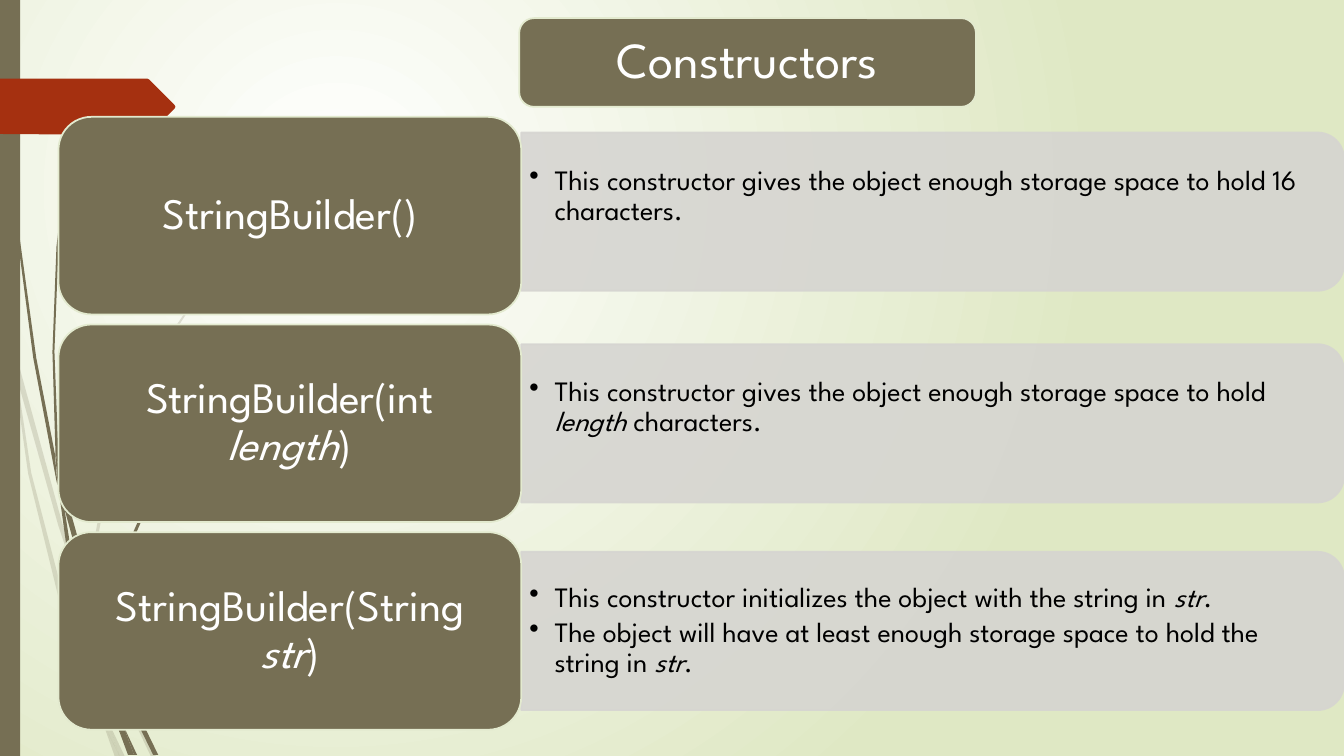
from lxml.etree import SubElement
from pptx import Presentation
from pptx.dml.color import RGBColor
from pptx.enum.shapes import MSO_SHAPE as SHAPE
from pptx.enum.text import MSO_ANCHOR, PP_ALIGN
from pptx.oxml.ns import qn
from pptx.util import Inches, Pt

OLIVE = RGBColor(0x76, 0x6F, 0x54)
RED = RGBColor(0xA5, 0x30, 0x10)
CREAM = RGBColor(0xE3, 0xEA, 0xCF)
GREEN = RGBColor(0xDF, 0xE8, 0xC4)
GREY = RGBColor(0xD6, 0xD5, 0xD1)
WHITE = RGBColor(0xFF, 0xFF, 0xFF)
BLACK = RGBColor(0x00, 0x00, 0x00)
FONT = "League Spartan"

TITLE = "Constructors"
# Label, bullets, spare room under the bullets, vertical shift of the bar.
# Words between asterisks are italic.
CONSTRUCTORS = [
    ("StringBuilder()",
     ["This constructor gives the object enough storage space to hold 16 characters."],
     0.31, -0.04),
    ("StringBuilder(int *length*)",
     ["This constructor gives the object enough storage space to hold *length* characters."],
     0.31, 0),
    ("StringBuilder(String *str*)",
     ["This constructor initializes the object with the string in *str*.",
      "The object will have at least enough storage space to hold the string in *str*."],
     0, 0),
]

PALE_BLADES = [
    [(0.11, 3.5), (0.09, 3.22), (0, 2.82), (0, 2.99), (0.1, 3.44)],
    [(0.58, 5.22), (0.84, 5.99), (0.85, 5.86), (0.62, 5.2), (0.14, 3.45), (0.17, 3.76)],
    [(0.92, 6.07), (0.88, 5.96), (0.88, 6.1), (1.23, 6.94), (1.5, 7.51), (1.55, 7.51),
     (1.27, 6.92)],
    [(1.19, 7.51), (1.24, 7.51), (1.05, 7.11)],
    [(0.93, 6.83), (0.7, 6.19), (0.31, 4.69), (0.17, 3.76), (0.11, 3.5), (0.28, 4.7),
     (0.65, 6.21), (0.92, 6.93), (1.01, 7.14), (0.99, 7.07)],
    [(0.88, 5.84), (1.1, 4.62), (1.6, 3.49), (2.29, 2.45), (2.68, 1.98), (2.9, 1.75),
     (3.12, 1.54), (3.12, 1.53), (2.89, 1.75), (2.68, 1.97), (2.28, 2.44), (1.58, 3.48),
     (1.07, 4.61), (0.85, 5.84), (0.85, 5.86), (0.88, 5.96)],
    [(1.01, 7.14), (1.14, 7.51), (1.19, 7.51)],
    [(0.96, 6.92), (0.93, 6.83), (0.99, 7.07), (1.01, 7.14), (1.19, 7.51), (1.05, 7.11)],
]
DARK_BLADES = [
    [(0.07, 1.1), (0.17, 2.33), (0.33, 3.55), (0.56, 4.77), (0.57, 4.81), (0.55, 4.57),
     (0.55, 4.53), (0.36, 3.55), (0.19, 2.32), (0.08, 1.09), (0.05, 0.48), (0.04, 0),
     (0.03, 0), (0.04, 0.48)],
    [(0.88, 5.92), (1.06, 6.45), (1.06, 6.31), (0.93, 5.9), (0.6, 4.72), (0.64, 5.05)],
    [(1.13, 6.49), (1.1, 6.41), (1.11, 6.56), (1.32, 7.08), (1.52, 7.49), (1.57, 7.49),
     (1.36, 7.06)],
    [(1.1, 6.91), (0.98, 6.57), (0.72, 5.56), (0.64, 5.05), (0.57, 4.77), (0.68, 5.57),
     (0.93, 6.59), (1.11, 7.08), (1.17, 7.22), (1.16, 7.17)],
    [(0.6, 4.72), (0.58, 4.53), (0.54, 3.49), (0.58, 2.45), (0.63, 1.93), (0.7, 1.41),
     (0.62, 1.93), (0.56, 2.45), (0.52, 3.49), (0.55, 4.49)],
    [(1.33, 7.49), (1.36, 7.49), (1.22, 7.19)],
    [(0.57, 4.77), (0.64, 5.05), (0.6, 4.72), (0.55, 4.49), (0.55, 4.53)],
    [(1.11, 6.33), (1.25, 5.52), (1.58, 4.76), (2.05, 4.06), (2.31, 3.74), (2.45, 3.59),
     (2.61, 3.44), (2.6, 3.44), (2.45, 3.58), (2.31, 3.73), (2.04, 4.05), (1.56, 4.74),
     (1.22, 5.51), (1.06, 6.31), (1.1, 6.41)],
    [(1.17, 7.22), (1.27, 7.49), (1.31, 7.49)],
    [(1.16, 7.06), (1.1, 6.91), (1.16, 7.17), (1.17, 7.22), (1.3, 7.49), (1.33, 7.49),
     (1.22, 7.19)],
]
RED_TAG = [(0, 0.78), (1.46, 0.78), (1.48, 0.79), (1.73, 1.04), (1.74, 1.06),
           (1.73, 1.08), (1.48, 1.33), (1.46, 1.34), (0, 1.33)]

LABEL_LEFT, LABEL_TOP, LABEL_W, LABEL_H, PITCH = 0.58, 1.16, 4.59, 1.96, 2.06
BAR_LEFT, BAR_W, BAR_H = 5.17, 8.16, 1.57
TEXT_W, TEXT_H = 8.09, 1.42


def paint(sp, fill, line=None, alpha=None):
    sp.shadow.inherit = False
    sp.fill.solid()
    sp.fill.fore_color.rgb = fill
    if line is None:
        sp.line.fill.background()
    else:
        sp.line.color.rgb = line
        sp.line.width = Pt(1.25)
    if alpha:
        for clr in sp._element.spPr.iter(qn("a:srgbClr")):
            SubElement(clr, qn("a:alpha"), val=str(alpha * 1000))


def add_shape(s, kind, x, y, w, h, *colours):
    sp = s.shapes.add_shape(kind, Inches(x), Inches(y), Inches(w), Inches(h))
    paint(sp, *colours)
    return sp


def add_outline(s, points, fill, alpha=None):
    (x, y), *rest = [(Inches(px), Inches(py)) for px, py in points]
    builder = s.shapes.build_freeform(x, y)
    builder.add_line_segments(rest, close=True)
    paint(builder.convert_to_shape(), fill, None, alpha)


def write(sp, lines, size, colour, insets, bullets=False):
    tf = sp.text_frame
    frame = dict(zip(("margin_left", "margin_top", "margin_right", "margin_bottom"),
                     map(Inches, insets)))
    frame.update(word_wrap=True, vertical_anchor=MSO_ANCHOR.MIDDLE)
    for name, value in frame.items():
        setattr(tf, name, value)
    for i, line in enumerate(lines):
        p = tf.add_paragraph() if i else tf.paragraphs[0]
        p.line_spacing = 0.9
        p.alignment = PP_ALIGN.LEFT if bullets else PP_ALIGN.CENTER
        if bullets:
            p.space_after = Pt(3)
            pPr = p._p.get_or_add_pPr()
            pPr.set("marL", str(Inches(0.25)))
            pPr.set("indent", str(-Inches(0.25)))
            SubElement(pPr, qn("a:buChar"), char="•")
        for j, part in enumerate(line.split("*")):
            if part:
                r = p.add_run()
                r.text = part
                r.font.color.rgb = colour
                for name, value in dict(name=FONT, size=Pt(size), italic=j % 2 == 1).items():
                    setattr(r.font, name, value)


def set_background(s):
    fill = s.background.fill
    fill.gradient()
    for stop, colour in zip(fill.gradient_stops, (WHITE, GREEN)):
        stop.color.rgb = colour
    grad = s._element.find(".//" + qn("a:gradFill"))
    grad.remove(grad.find(qn("a:lin")))
    circle = SubElement(grad, qn("a:path"), path="circle")
    SubElement(circle, qn("a:fillToRect"), l="50000", t="50000", r="100000", b="100000")


def main():
    prs = Presentation()
    prs.slide_width, prs.slide_height = Inches(13.33), Inches(7.5)
    s = prs.slides.add_slide(prs.slide_layouts[6])
    set_background(s)

    for blades, alpha in ((PALE_BLADES, 20), (DARK_BLADES, None)):
        for blade in blades:
            add_outline(s, blade, OLIVE, alpha)
    add_shape(s, SHAPE.RECTANGLE, 0, 0, 0.2, 7.5, OLIVE)
    add_outline(s, RED_TAG, RED)

    title = add_shape(s, SHAPE.ROUNDED_RECTANGLE, 5.15, 0.18, 4.53, 0.88, OLIVE, CREAM)
    write(title, [TITLE], 36, WHITE, (0.15, 0.07, 0.15, 0.07))

    for i, (label, bullets, spare, shift) in enumerate(CONSTRUCTORS):
        top = LABEL_TOP + i * PITCH
        middle = top + LABEL_H / 2 + shift
        bar = add_shape(s, SHAPE.ROUND_2_SAME_RECTANGLE,
                        BAR_LEFT + (BAR_W - BAR_H) / 2, middle - BAR_W / 2,
                        BAR_H, BAR_W, GREY, GREY, 90)
        bar.rotation = 90
        box = s.shapes.add_textbox(Inches(BAR_LEFT), Inches(middle - TEXT_H / 2),
                                   Inches(TEXT_W), Inches(TEXT_H))
        write(box, bullets, 20, BLACK, (0.08, 0.04, 0.08, 0.04 + spare), bullets=True)
        sp = add_shape(s, SHAPE.ROUNDED_RECTANGLE, LABEL_LEFT, top, LABEL_W, LABEL_H,
                       OLIVE, CREAM)
        write(sp, [label], 31, WHITE, (0.13, 0.06, 0.13, 0.06))

    prs.save("out.pptx")


if __name__ == "__main__":
    main()
